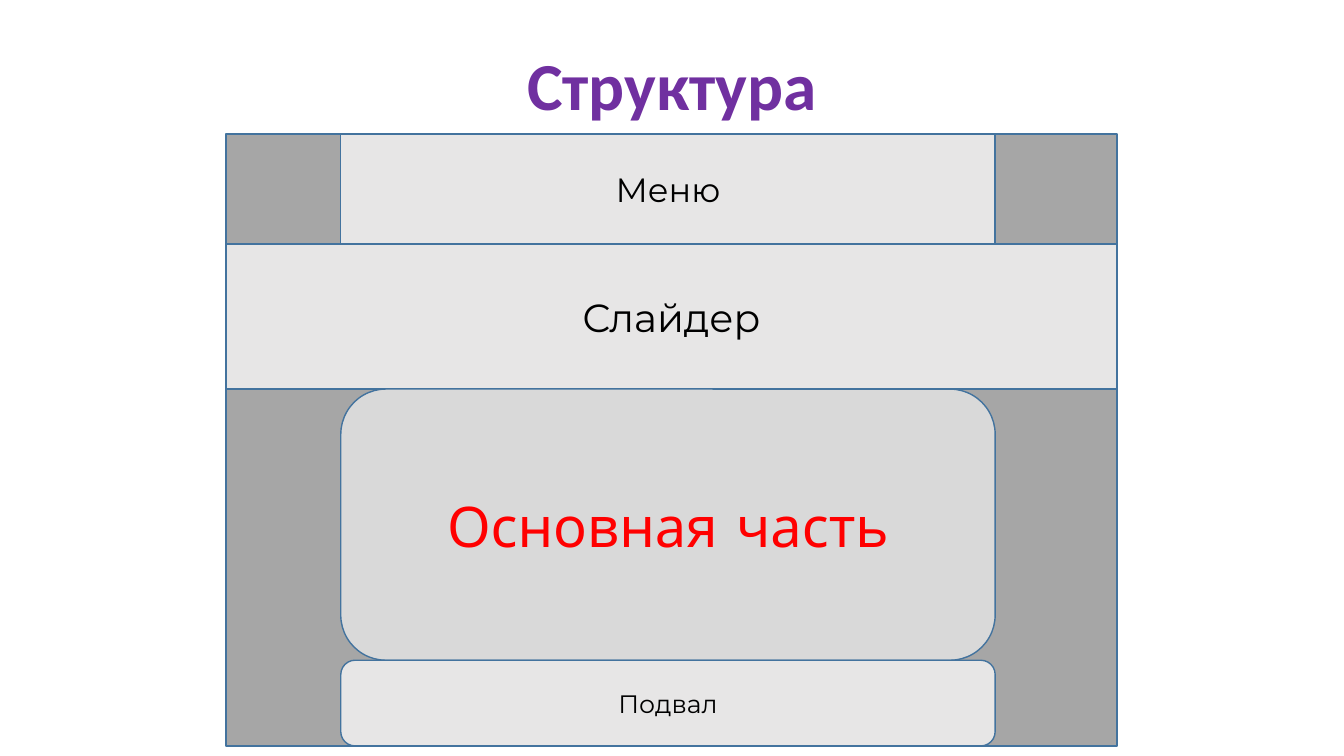
"""Build a slide showing the block structure of a web page."""
from pptx import Presentation
from pptx.dml.color import RGBColor
from pptx.enum.shapes import MSO_SHAPE
from pptx.enum.text import MSO_ANCHOR, PP_ALIGN
from pptx.util import Inches, Pt

RECT, ROUND = MSO_SHAPE.RECTANGLE, MSO_SHAPE.ROUNDED_RECTANGLE
MIDDLE, CENTER = MSO_ANCHOR.MIDDLE, PP_ALIGN.CENTER

TITLE = ("Структура", {"name": "Calibri", "size": Pt(48), "bold": True}, "7030A0")
PAGE = (2.24, 8.84)
COLUMN = (3.38, 6.49)
TOP = 1.33
LINE = "43739E"
SECTIONS = [
    ("Меню", RECT, COLUMN, 1.09, "E7E6E6", "Montserrat", 24, "000000"),
    ("Слайдер", RECT, PAGE, 1.44, "E7E6E6", "Montserrat", 28, "000000"),
    ("Основная часть", ROUND, COLUMN, 2.69, "D9D9D9", "Comic Neue", 40, "FF0000"),
    ("Подвал", ROUND, COLUMN, 0.85, "E7E6E6", "Montserrat", 18, "000000"),
]


def rgb(value):
    """Turn a hex string into a colour."""
    return RGBColor.from_string(value)


def write(sp, text, fmt, color):
    """Put one centred, formatted line of text in a shape."""
    tf = sp.text_frame
    tf.word_wrap = True
    tf.vertical_anchor = MIDDLE
    p = tf.paragraphs[0]
    p.alignment = CENTER
    r = p.add_run()
    r.text = text
    for key, value in fmt.items():
        setattr(r.font, key, value)
    r.font.color.rgb = rgb(color)
    return p


def add_block(s, kind, span, top, height, fill):
    """Add a filled, outlined block across a horizontal span."""
    left, width = span
    sp = s.shapes.add_shape(kind, Inches(left), Inches(top), Inches(width), Inches(height))
    sp.shadow.inherit = False
    sp.fill.solid()
    sp.fill.fore_color.rgb = rgb(fill)
    sp.line.color.rgb = rgb(LINE)
    sp.line.width = Pt(1)
    return sp


prs = Presentation()
prs.slide_width, prs.slide_height = Inches(13.33), Inches(7.5)
s = prs.slides.add_slide(prs.slide_layouts[5])

title = s.shapes.title
box = {"left": 0, "top": 0.26, "width": 13.33, "height": 1.25}
for key, value in box.items():
    setattr(title, key, Inches(value))
write(title, *TITLE).line_spacing = 0.9

add_block(s, RECT, PAGE, TOP, sum(row[3] for row in SECTIONS), "A6A6A6")
top = TOP
for text, kind, span, height, fill, font, size, color in SECTIONS:
    sp = add_block(s, kind, span, top, height, fill)
    write(sp, text, {"name": font, "size": Pt(size)}, color)
    top += height

prs.save("out.pptx")
